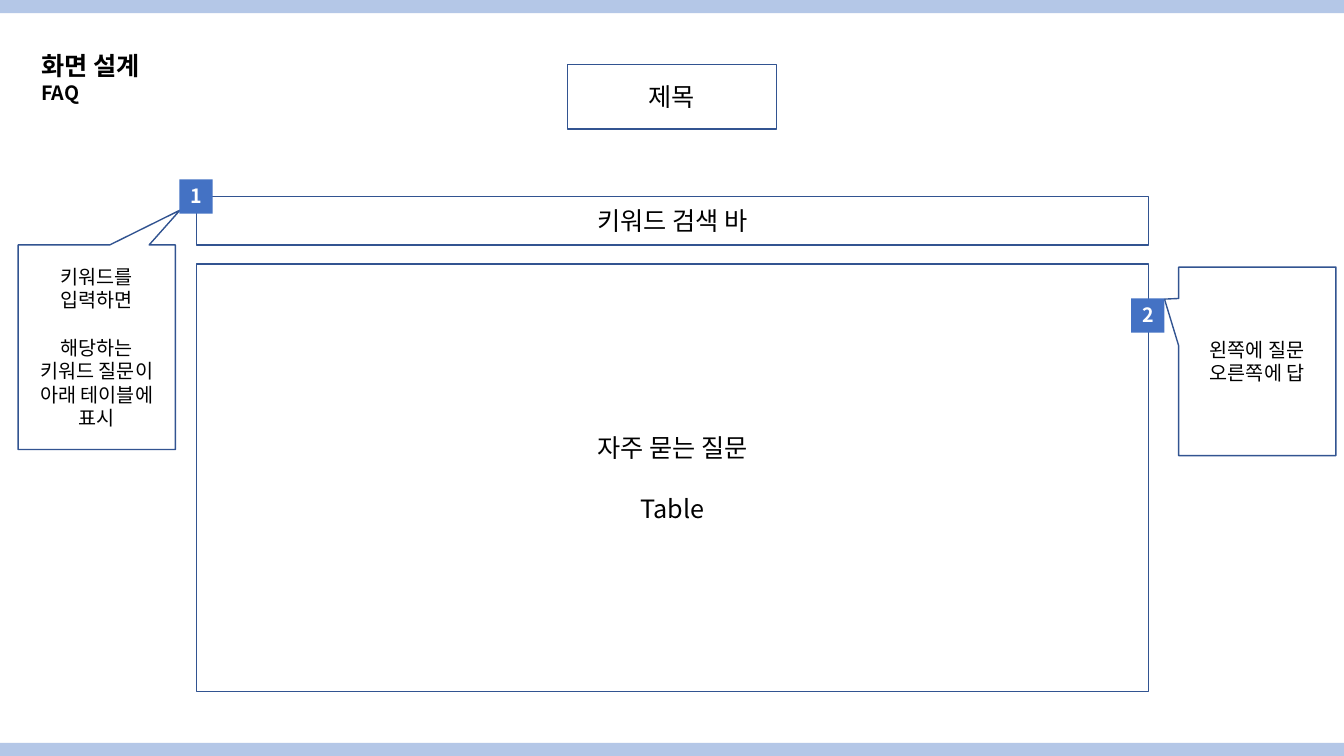
"""Build the FAQ screen design slide."""
from lxml.etree import SubElement
from pptx import Presentation
from pptx.dml.color import RGBColor
from pptx.enum.shapes import MSO_SHAPE
from pptx.enum.text import MSO_ANCHOR, PP_ALIGN
from pptx.oxml.ns import qn
from pptx.util import Inches, Pt

FONT = "Noto Sans CJK KR"
COLORS = {
    "band": "B4C7E7",
    "badge": "4472C4",
    "edge": "325491",
    "white": "FFFFFF",
    "black": "000000",
}


def color(name):
    return RGBColor.from_string(COLORS[name])


def write(shape, text, sizes, ink="black", bold=False, align=PP_ALIGN.CENTER, gap=None):
    frame = shape.text_frame
    frame.word_wrap = True
    frame.text = text
    for i, para in enumerate(frame.paragraphs):
        size = sizes[min(i, len(sizes) - 1)]
        para.alignment = align
        if i == gap:
            para.space_before = Pt(size * 1.2)
        font = para.font
        font.name, font.size, font.bold = FONT, Pt(size), bold
        font.color.rgb = color(ink)
        SubElement(para._p.pPr.find(qn("a:defRPr")), qn("a:ea"), typeface=FONT)


deck = Presentation()
deck.slide_width, deck.slide_height = Inches(13.33), Inches(7.5)
slide = deck.slides.add_slide(deck.slide_layouts[6])
shapes = slide.shapes

for top in (0, 7.37):
    band = shapes.add_shape(MSO_SHAPE.RECTANGLE, 0, Inches(top), deck.slide_width, Inches(0.13))
    band.shadow.inherit = False
    band.fill.solid()
    band.fill.fore_color.rgb = color("band")
    band.line.fill.background()

head = shapes.add_textbox(Inches(0.31), Inches(0.45), Inches(1.56), Inches(0.64))
write(head, "화면 설계\nFAQ", (18, 14), bold=True, align=PP_ALIGN.LEFT)

RECT, CALL = MSO_SHAPE.RECTANGLE, MSO_SHAPE.RECTANGULAR_CALLOUT
panels = [
    (RECT, (5.63, 0.64, 2.07, 0.64), "제목", 18, None, ()),
    (RECT, (1.95, 1.95, 9.44, 0.48), "키워드 검색 바", 18, None, ()),
    (RECT, (1.95, 2.62, 9.44, 4.24), "자주 묻는 질문\nTable", 18, 1, ()),
    (CALL, (0.18, 2.43, 1.56, 2.03),
     "키워드를\n입력하면\n해당하는\n키워드 질문이\n아래 테이블에 표시", 14, 2, (0.53, -0.67)),
    (CALL, (11.69, 2.65, 1.56, 1.87), "왼쪽에 질문\n오른쪽에 답", 14, None, (-0.59, -0.33)),
]
for kind, area, text, size, gap, tip in panels:
    panel = shapes.add_shape(kind, *map(Inches, area))
    for i, value in enumerate(tip):
        panel.adjustments[i] = value
    panel.shadow.inherit = False
    panel.fill.solid()
    panel.fill.fore_color.rgb = color("white")
    panel.line.color.rgb = color("edge")
    panel.line.width = Pt(1)
    panel.text_frame.vertical_anchor = MSO_ANCHOR.MIDDLE
    write(panel, text, (size,), gap=gap)

for label, left, top in (("1", 1.78, 1.78), ("2", 11.22, 2.96)):
    badge = shapes.add_shape(RECT, Inches(left), Inches(top), Inches(0.33), Inches(0.34))
    badge.shadow.inherit = False
    badge.fill.solid()
    badge.fill.fore_color.rgb = color("badge")
    badge.line.fill.background()
    badge.text_frame.vertical_anchor = MSO_ANCHOR.TOP
    write(badge, label, (14,), ink="white", bold=True)

deck.save("out.pptx")
